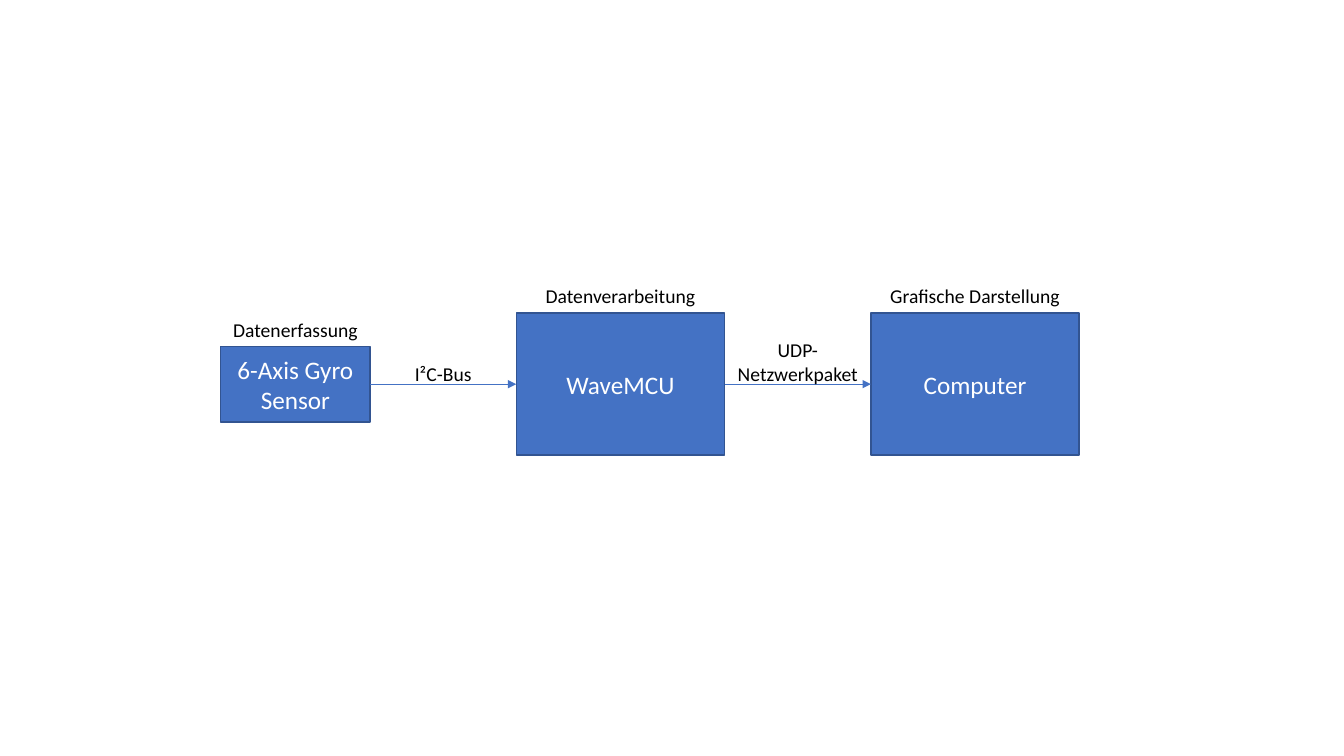
"""Builds a slide showing the data flow from gyro sensor to computer."""
from lxml.etree import SubElement
from pptx import Presentation
from pptx.dml.color import RGBColor
from pptx.enum.shapes import MSO_CONNECTOR as Connector, MSO_SHAPE as Shape
from pptx.enum.text import MSO_ANCHOR as Anchor, PP_ALIGN as Align
from pptx.oxml.ns import qn
from pptx.util import Pt

BLUE = RGBColor(0x44, 0x72, 0xC4)
DARK_BLUE = RGBColor(0x32, 0x54, 0x91)
WHITE = RGBColor(0xFF, 0xFF, 0xFF)
BLACK = RGBColor(0x00, 0x00, 0x00)

FONT = "Calibri"
AXIS = 274.4
START = 157.7
GAP = 104.5
LINK_DROP = 4.8
ONE_LINE = 24.2
TWO_LINES = 41

STATIONS = [
    ("6-Axis Gyro Sensor", "Datenerfassung", 106.6, 54),
    ("WaveMCU", "Datenverarbeitung", 148.8, 101.6),
    ("Computer", "Grafische Darstellung", 148.8, 101.6),
]
LINKS = [("I²C-Bus", ONE_LINE), ("UDP-Netzwerkpaket", TWO_LINES)]


def write(frame, text, size, color):
    """Put centred, wrapped text into a frame."""
    frame.text = text
    frame.word_wrap = True
    paragraph = frame.paragraphs[0]
    paragraph.alignment = Align.CENTER
    font = paragraph.runs[0].font
    font.name, font.size = FONT, Pt(size)
    font.color.rgb = color


def add_station(slide, name, left, width, height):
    """Draw a blue box centred on the axis."""
    station = slide.shapes.add_shape(
        Shape.RECTANGLE, Pt(left), Pt(AXIS - height / 2), Pt(width), Pt(height))
    station.shadow.inherit = False
    station.fill.solid()
    station.fill.fore_color.rgb = BLUE
    station.line.color.rgb = DARK_BLUE
    station.line.width = Pt(1)
    station.text_frame.vertical_anchor = Anchor.MIDDLE
    write(station.text_frame, name, 18, WHITE)
    return station


def add_label(slide, text, left, bottom, width, height):
    """Place a black label that ends at the given bottom."""
    label = slide.shapes.add_textbox(
        Pt(left), Pt(bottom - height), Pt(width), Pt(height))
    write(label.text_frame, text, 14, BLACK)


def add_arrow(slide, sender, receiver):
    """Connect the right side of one box to the left side of the next."""
    arrow = slide.shapes.add_connector(Connector.STRAIGHT, 0, 0, 0, 0)
    arrow.begin_connect(sender, 3)
    arrow.end_connect(receiver, 1)
    arrow.line.color.rgb = BLUE
    arrow.line.width = Pt(0.5)
    SubElement(arrow.line._get_or_add_ln(), qn("a:tailEnd"), type="triangle")
    SubElement(arrow._element.spPr, qn("a:effectLst"))


def main():
    """Build and save the slide."""
    deck = Presentation()
    deck.slide_width, deck.slide_height = Pt(960), Pt(540)
    slide = deck.slides.add_slide(deck.slide_layouts[6])

    left = START
    stations = []
    for name, task, width, height in STATIONS:
        stations.append(add_station(slide, name, left, width, height))
        add_label(slide, task, left, AXIS - height / 2, width, ONE_LINE)
        left += width + GAP

    for sender, receiver, (link, height) in zip(stations, stations[1:], LINKS):
        add_arrow(slide, sender, receiver)
        link_left = (sender.left + sender.width).pt if hasattr(
            sender.left + sender.width, "pt") else (sender.left + sender.width) / Pt(1)
        add_label(slide, link, link_left, AXIS + LINK_DROP, GAP, height)

    deck.save("out.pptx")


if __name__ == "__main__":
    main()
